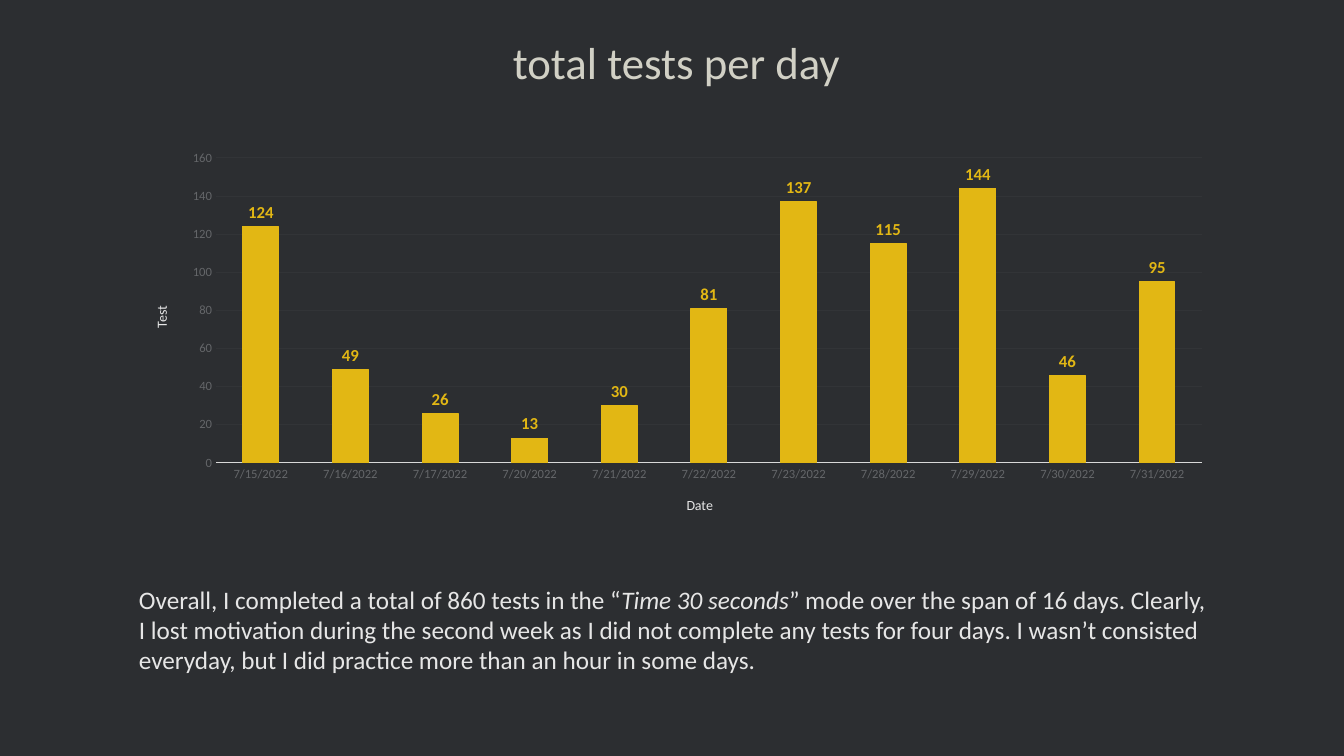
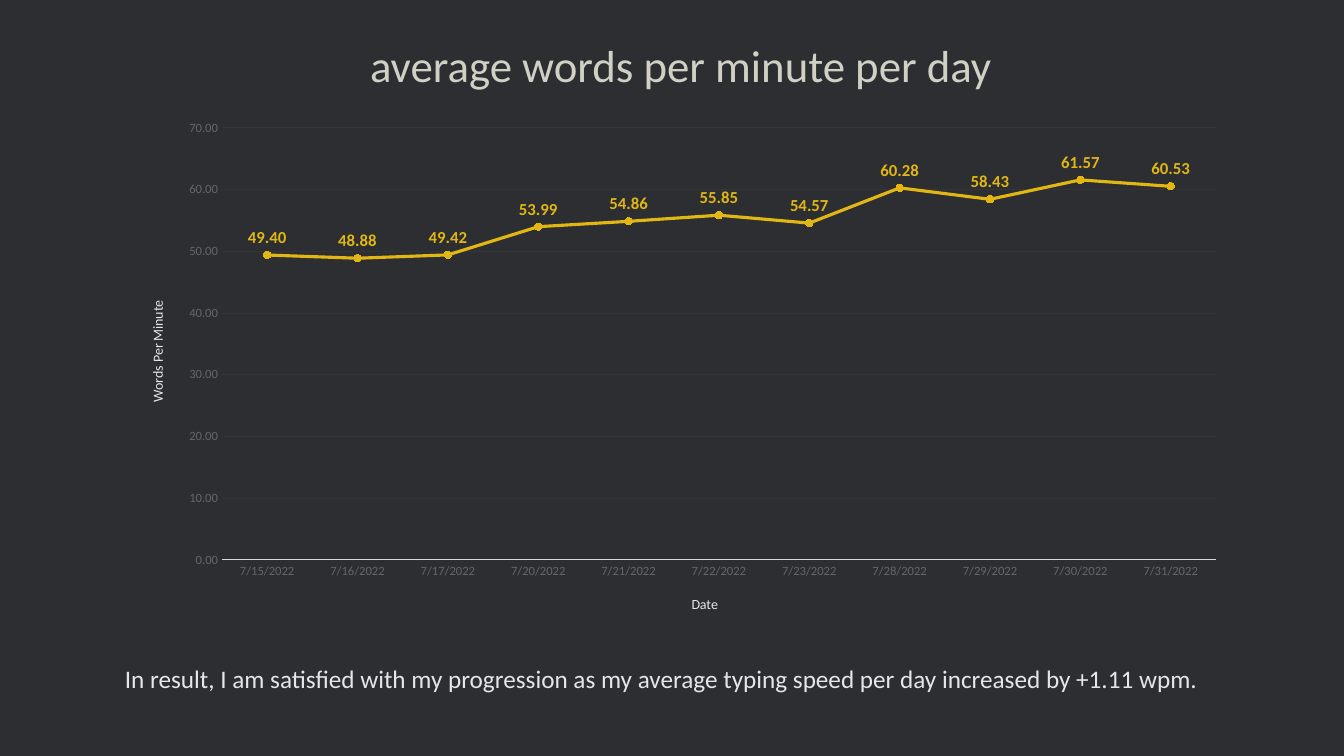
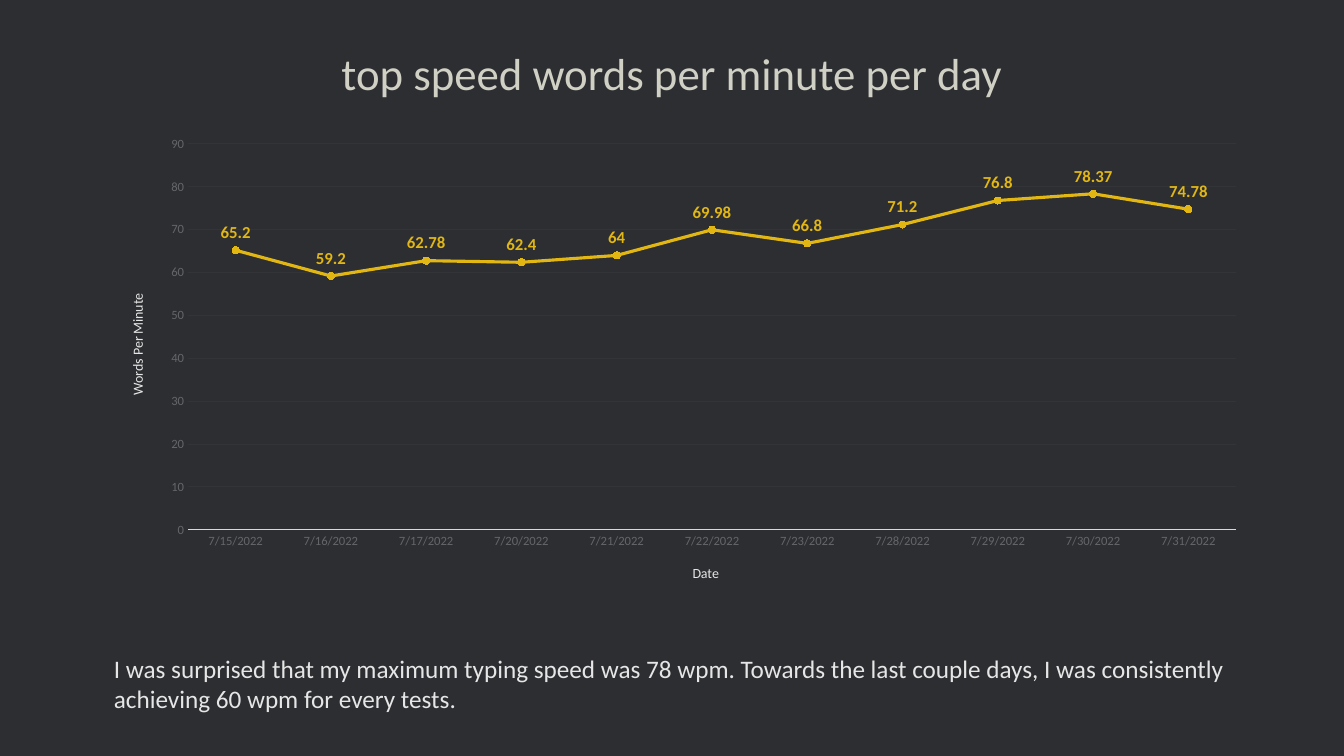
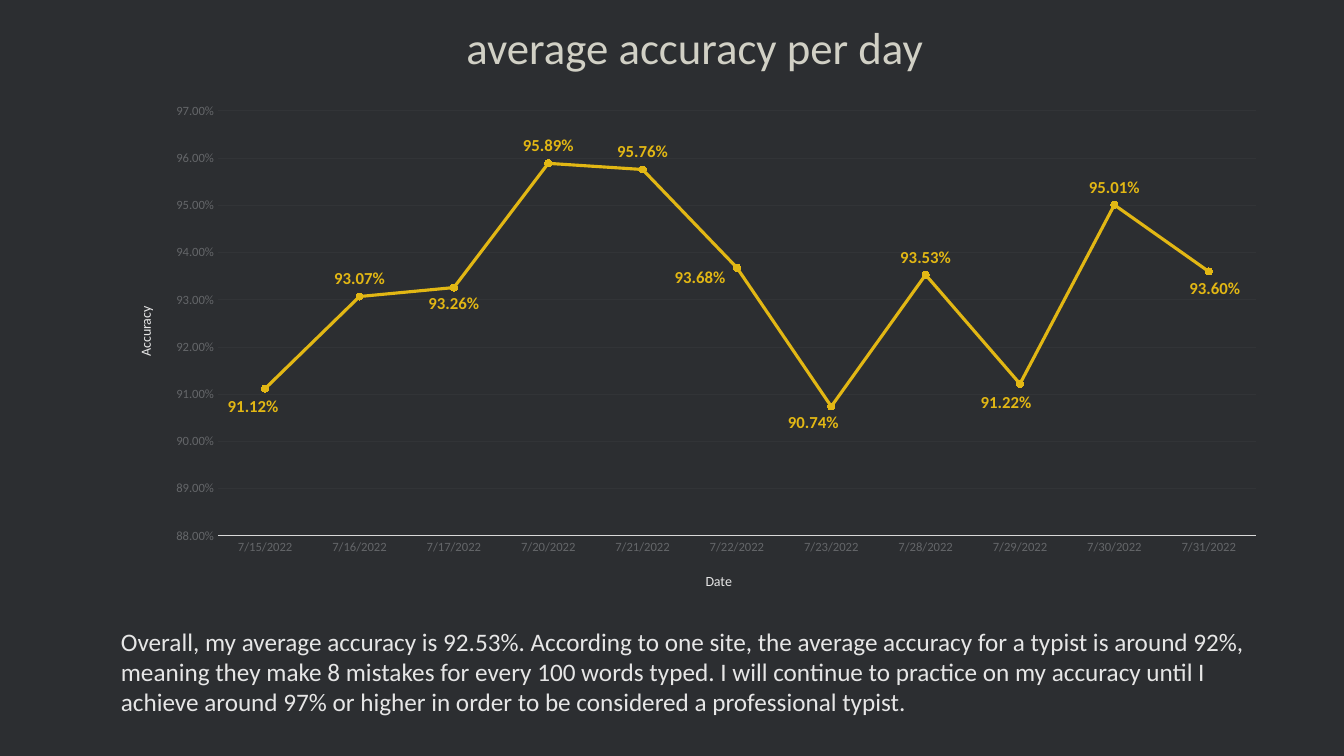
"""Build four slides of charts on typing practice."""
from lxml import etree
from pptx import Presentation
from pptx.chart.data import CategoryChartData
from pptx.dml.color import RGBColor
from pptx.enum.chart import XL_CHART_TYPE, XL_LABEL_POSITION, XL_MARKER_STYLE, XL_TICK_MARK
from pptx.enum.text import MSO_ANCHOR, PP_ALIGN
from pptx.oxml.ns import qn
from pptx.util import Pt

BAR, LINE = XL_CHART_TYPE.COLUMN_CLUSTERED, XL_CHART_TYPE.LINE_MARKERS
ABOVE, OUTSIDE = XL_LABEL_POSITION.ABOVE, XL_LABEL_POSITION.OUTSIDE_END
CIRCLE, NO_TICK = XL_MARKER_STYLE.CIRCLE, XL_TICK_MARK.NONE
CENTER, MIDDLE = PP_ALIGN.CENTER, MSO_ANCHOR.MIDDLE

DARK = RGBColor(0x2C, 0x2E, 0x31)
CREAM = RGBColor(0xD1, 0xD0, 0xC5)
PALE = RGBColor(0xE6, 0xE6, 0xE6)
GRAY = RGBColor(0x64, 0x66, 0x69)
RULE = RGBColor(0xD9, 0xD9, 0xD9)
GRID = RGBColor(0x32, 0x34, 0x37)
GOLD = RGBColor(0xE2, 0xB7, 0x14)

SCALE = 914400 / 100.8
DATES = [f"7/{day}/2022" for day in (15, 16, 17, 20, 21, 22, 23, 28, 29, 30, 31)]


def style(font, size, color, bold=False):
    for name, value in {"name": "Calibri", "size": Pt(size), "bold": bold}.items():
        setattr(font, name, value)
    font.color.rgb = color


def place(node, index, values):
    for old in node.findall(qn("c:layout")):
        node.remove(old)
    layout = etree.Element(qn("c:layout"))
    manual = etree.SubElement(layout, qn("c:manualLayout"))
    for name, value in values.items():
        etree.SubElement(manual, qn(f"c:{name}")).set("val", str(value))
    node.insert(index, layout)


SLIDES = [
    {
        "title": "total tests per day", "head": (343, 29, 667, 65),
        "kind": BAR, "frame": (129, 143, 1096, 387), "plot": (216, 158, 986, 305),
        "values": (124, 49, 26, 13, 30, 81, 137, 115, 144, 46, 95),
        "format": "General", "range": (0, 160, 20),
        "date": (684, 494), "unit": "Test", "side": (150, 303), "shifts": {},
        "text": "Overall, I completed a total of 860 tests in the “_Time 30 seconds_” mode "
                "over the span of 16 days. Clearly, I lost motivation during the second week "
                "as I did not complete any tests for four days. I wasn’t consisted everyday, "
                "but I did practice more than an hour in some days.",
        "body": (129, 579, 1096, 102),
    },
    {
        "title": "average words per minute per day", "head": (270, 32, 822, 65),
        "kind": LINE, "frame": (124, 111, 1114, 519), "plot": (222, 128, 994, 432),
        "values": (49.4, 48.88, 49.42, 53.99, 54.86, 55.85, 54.57, 60.28, 58.43, 61.57, 60.53),
        "format": "0.00", "range": (0, 70, 10),
        "date": (689, 593), "unit": "Words Per Minute", "side": (146, 298), "shifts": {},
        "text": "In result, I am satisfied with my progression as my average typing speed "
                "per day increased by +1.11 wpm.",
        "body": (115, 658, 1114, 40),
    },
    {
        "title": "top speed words per minute per day", "head": (261, 40, 822, 65),
        "kind": LINE, "frame": (104, 128, 1155, 471), "plot": (188, 144, 1048, 386),
        "values": (65.2, 59.2, 62.78, 62.4, 64, 69.98, 66.8, 71.2, 76.8, 78.37, 74.78),
        "format": "General", "range": (0, 90, 10),
        "date": (690, 562), "unit": "Words Per Minute", "side": (126, 291), "shifts": {},
        "text": "I was surprised that my maximum typing speed was 78 wpm. Towards the last "
                "couple days, I was consistently achieving 60 wpm for every tests.",
        "body": (104, 648, 1155, 72),
    },
    {
        "title": "average accuracy per day", "head": (284, 14, 822, 65),
        "kind": LINE, "frame": (111, 94, 1168, 512), "plot": (218, 111, 1038, 425),
        "values": (0.9112, 0.9307, 0.9326, 0.9589, 0.9576, 0.9368,
                   0.9074, 0.9353, 0.9122, 0.9501, 0.936),
        "format": "0.00%", "range": (0.88, 0.97, 0.01),
        "date": (703, 570), "unit": "Accuracy", "side": (134, 304),
        "shifts": {0: (-12, 36), 2: (0, 34), 5: (-37, 27),
                   6: (-18, 34), 8: (-14, 36), 10: (6, 35)},
        "text": "Overall, my average accuracy is 92.53%. According to one site, the average "
                "accuracy for a typist is around 92%, meaning they make 8 mistakes for every "
                "100 words typed. I will continue to practice on my accuracy until I achieve "
                "around 97% or higher in order to be considered a professional typist.",
        "body": (111, 621, 1168, 102),
    },
]

deck = Presentation()
deck.slide_width, deck.slide_height = round(1344 * SCALE), round(756 * SCALE)
back = deck.slide_master.background.fill
back.solid()
back.fore_color.rgb = DARK

for item in SLIDES:
    head, frame, body = ([round(n * SCALE) for n in item[key]]
                         for key in ("head", "frame", "body"))
    slide = deck.slides.add_slide(deck.slide_layouts[5])
    title = slide.shapes.title
    title.left, title.top, title.width, title.height = head
    title.text_frame.text = item["title"]
    title.text_frame.vertical_anchor = MIDDLE
    line = title.text_frame.paragraphs[0]
    line.alignment = CENTER
    style(line.runs[0].font, 32, CREAM)

    data = CategoryChartData(number_format=item["format"])
    data.categories = DATES
    data.add_series("Series 1", item["values"])
    chart = slide.shapes.add_chart(item["kind"], *frame, data).chart
    chart.has_title = chart.has_legend = False
    style(chart.font, 10, PALE)
    left, top, width, height = item["frame"]
    x, y, w, h = item["plot"]
    area = chart.plots[0]._element.getparent()
    place(area, 0, {
        "layoutTarget": "inner", "xMode": "edge", "yMode": "edge",
        "x": (x - left) / width, "y": (y - top) / height, "w": w / width, "h": h / height})

    dates, units = chart.category_axis, chart.value_axis
    for axis, name, spot, turn in ((dates, "Date", item["date"], 0),
                                   (units, item["unit"], item["side"], -5400000)):
        axis.major_tick_mark = axis.minor_tick_mark = NO_TICK
        style(axis.tick_labels.font, 9, GRAY)
        label = axis.axis_title
        label.text_frame.text = name
        style(label.text_frame.paragraphs[0].runs[0].font, 10, PALE)
        node = label._element
        box = node.find(".//" + qn("a:bodyPr"))
        box.set("rot", str(turn))
        box.set("vert", "horz")
        place(node, 1, {"xMode": "edge", "yMode": "edge",
                        "x": (spot[0] - left) / width, "y": (spot[1] - top) / height})
    units.minimum_scale, units.maximum_scale, units.major_unit = item["range"]
    units.tick_labels.number_format = item["format"]
    units.tick_labels.number_format_is_linked = False
    units.format.line.fill.background()
    for stroke, color in ((dates.format.line, RULE), (units.major_gridlines.format.line, GRID)):
        stroke.color.rgb = color
        stroke.width = Pt(0.75)

    plot = chart.plots[0]
    plot.vary_by_categories = False
    series = plot.series[0]
    series.format.line.color.rgb = GOLD
    if item["kind"] == BAR:
        plot.gap_width = 150
        series.format.line.width = Pt(0.75)
        fills = [series.format.fill]
    else:
        series.smooth = False
        series.format.line.width = Pt(2.25)
        series.marker.style, series.marker.size = CIRCLE, 5
        series.marker.format.line.color.rgb = GOLD
        fills = [series.marker.format.fill]
    for fill in fills:
        fill.solid()
        fill.fore_color.rgb = GOLD

    labels = series.data_labels
    labels.show_value = True
    labels.position = OUTSIDE if item["kind"] == BAR else ABOVE
    labels.number_format, labels.number_format_is_linked = item["format"], False
    style(labels.font, 12, GOLD, True)
    for index, (right, down) in item["shifts"].items():
        label = series.points[index].data_label
        label.position = ABOVE
        style(label.font, 12, GOLD, True)
        node = labels._element.find(f"{qn('c:dLbl')}[{qn('c:idx')}][@val]")
        node = next(n for n in labels._element.findall(qn("c:dLbl"))
                    if n.find(qn("c:idx")).get("val") == str(index))
        place(node, 1, {"x": right / width, "y": down / height})
        form = etree.Element(qn("c:numFmt"), formatCode=item["format"], sourceLinked="0")
        node.insert(2, form)

    note = slide.shapes.add_textbox(*body).text_frame
    note.word_wrap = True
    for index, part in enumerate(item["text"].split("_")):
        run = note.paragraphs[0].add_run()
        run.text = part
        run.font.italic = index % 2 == 1
        style(run.font, 18, PALE)

deck.save("out.pptx")
